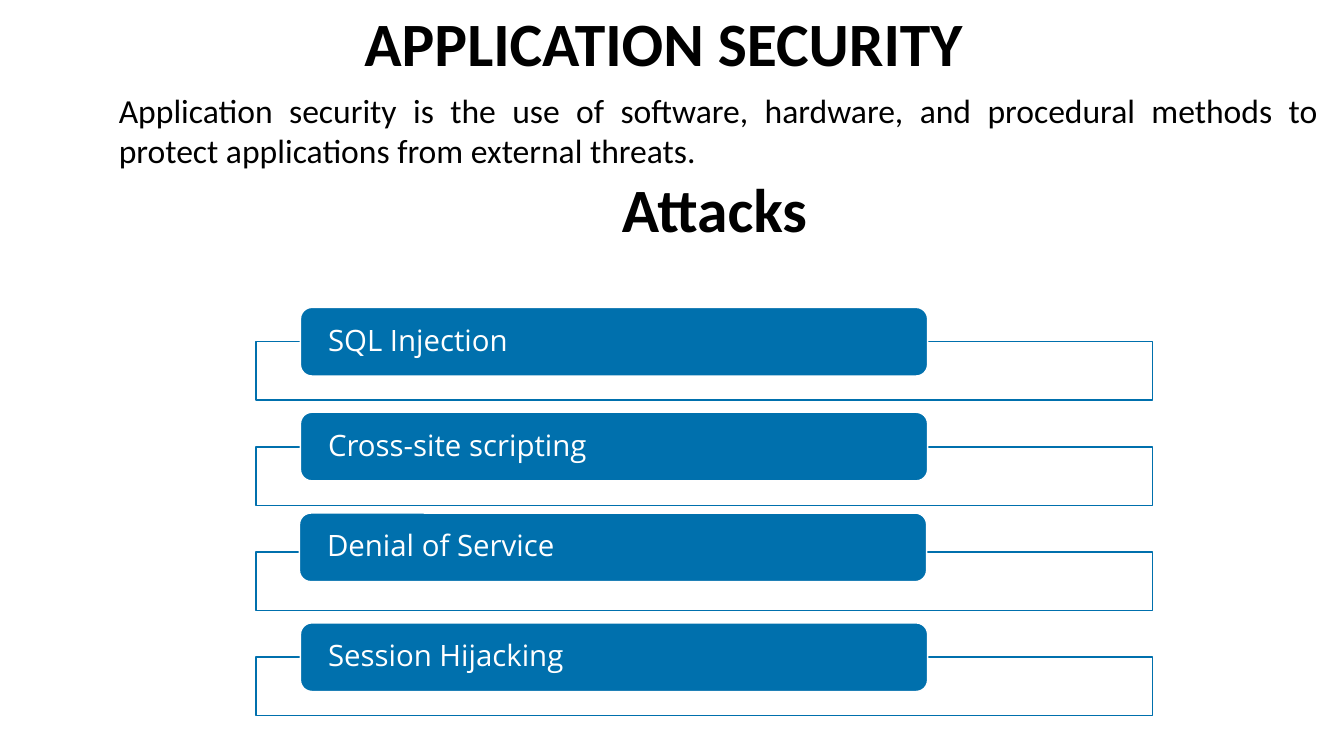
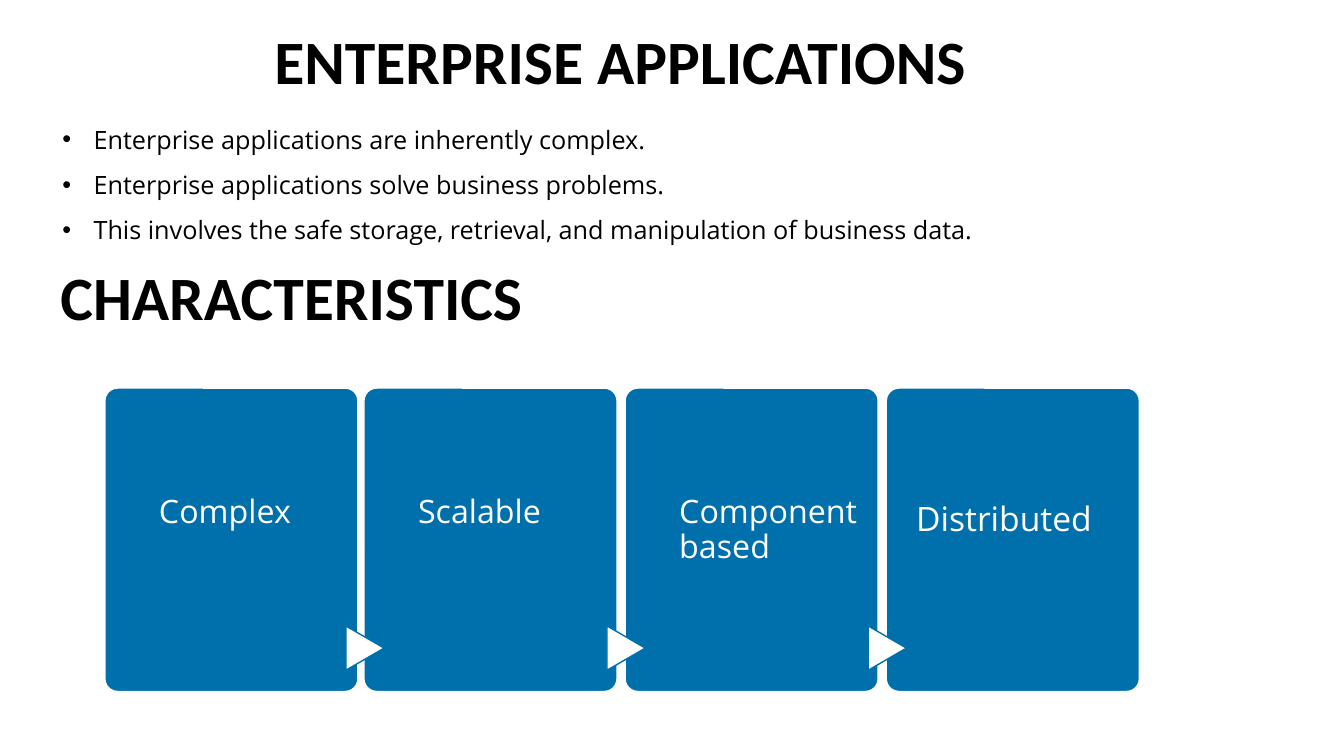
from pptx import Presentation
from pptx.dml.color import RGBColor
from pptx.enum.shapes import MSO_SHAPE
from pptx.enum.text import MSO_ANCHOR, PP_ALIGN
from pptx.util import Inches, Pt
from lxml import etree

COLORS = {"blue": "0070AD", "white": "FFFFFF", "black": "000000"}
HEADING = {"font": "Calibri", "size": 44, "color": "black", "bold": True}
LABEL = {"font": "Open Sans", "color": "white"}

deck = Presentation()
deck.slide_width, deck.slide_height = Inches(13.33), Inches(7.5)
blank = deck.slide_layouts[6]


def write(box, lines, font, size, color, bold=False, align=PP_ALIGN.LEFT,
          spacing=1.0, anchor=MSO_ANCHOR.TOP, insets=(0.1, 0.05, 0.1, 0.05)):
    frame = box.text_frame
    frame.word_wrap = True
    frame.vertical_anchor = anchor
    (frame.margin_left, frame.margin_top,
     frame.margin_right, frame.margin_bottom) = [Inches(inset) for inset in insets]
    frame.text = "\n".join(lines)
    for para in frame.paragraphs:
        para.alignment = align
        para.line_spacing = spacing
        for span in para.runs:
            span.font.name, span.font.size, span.font.bold = font, Pt(size), bold
            span.font.color.rgb = RGBColor.from_string(COLORS[color])


def add_box(page, kind, left, top, width, height, fill="blue", line="white"):
    area = [Inches(length) for length in (left, top, width, height)]
    if kind is None:
        return page.shapes.add_textbox(*area)
    box = page.shapes.add_shape(kind, *area)
    box.shadow.inherit = False
    box.fill.solid()
    box.fill.fore_color.rgb = RGBColor.from_string(COLORS[fill])
    box.line.color.rgb = RGBColor.from_string(COLORS[line])
    box.line.width = Pt(1)
    return box


# Slide 1: application security
page = deck.slides.add_slide(blank)
write(add_box(page, None, 1.78, 0, 9.61, 0.84), ["APPLICATION SECURITY"],
      align=PP_ALIGN.CENTER, **HEADING)
write(add_box(page, None, 1.08, 0.84, 12.09, 0.91),
      ["Application security is the use of software, hardware, and procedural "
       "methods to protect applications from external threats."],
      "Calibri", 24, "black", align=PP_ALIGN.JUSTIFY)
write(add_box(page, None, 6.07, 1.65, 3, 0.84), ["Attacks"], **HEADING)

# Attack list: a label bar over each outlined row
attacks = [("SQL Injection", 2.98, 3.05), ("Cross-site scripting", 2.98, 4.09),
           ("Denial of Service", 2.97, 5.09), ("Session Hijacking", 2.98, 6.18)]
for index, (attack, left, top) in enumerate(attacks):
    add_box(page, MSO_SHAPE.RECTANGLE, 2.54, 3.39 + 1.043 * index, 8.89, 0.58,
            "white", "blue")
    bar = add_box(page, MSO_SHAPE.ROUNDED_RECTANGLE, left, top, 6.22, 0.68)
    write(bar, [attack], size=21, spacing=0.9, anchor=MSO_ANCHOR.MIDDLE,
          insets=(0.24, 0, 0.24, 0), **LABEL)

# Slide 2: enterprise applications
page = deck.slides.add_slide(blank)
write(add_box(page, None, -0.34, 0.18, 12.99, 0.84), ["ENTERPRISE APPLICATIONS"],
      align=PP_ALIGN.CENTER, **HEADING)
write(add_box(page, None, 0.6, 2.65, 12.05, 0.94), ["CHARACTERISTICS"],
      spacing=0.9, insets=(0, 0, 0, 0), **HEADING)

# Bulleted introduction
bullets = add_box(page, None, 0.52, 1.03, 12.44, 1.46)
write(bullets, ["Enterprise applications are inherently complex.",
                "Enterprise applications solve business problems.",
                "This involves the safe storage, retrieval, and manipulation "
                "of business data."],
      "Open Sans", 18, "black", spacing=1.5)
for para in bullets.text_frame.paragraphs:
    properties = para._p.get_or_add_pPr()
    properties.set("marL", str(Inches(0.31)))
    properties.set("indent", str(Inches(-0.31)))
    namespace = properties.nsmap["a"]
    etree.SubElement(properties, f"{{{namespace}}}buFont", typeface="Arial")
    etree.SubElement(properties, f"{{{namespace}}}buChar", char="•")

# Characteristic cards, with an arrow on each gap
cards = [("Complex", 1.04), ("Scalable", 3.61),
         ("Component based", 6.2), ("Distributed", 8.79)]
for index, (name, left) in enumerate(cards):
    card = add_box(page, MSO_SHAPE.ROUNDED_RECTANGLE, left, 3.85, 2.51, 3.01)
    card.adjustments[0] = 0.05
    if name == "Distributed":
        write(card, [name], size=24, insets=(0.26, 1.05, 0.1, 0), **LABEL)
    else:
        write(card, [name], size=23, spacing=0.9, insets=(0.5, 1.03, 0.14, 0), **LABEL)
    if index > 0:
        arrow = add_box(page, MSO_SHAPE.FLOWCHART_EXTRACT, left - 0.21, 6.24,
                        0.44, 0.38, "white", "blue")
        arrow.rotation = 90

deck.save("out.pptx")
